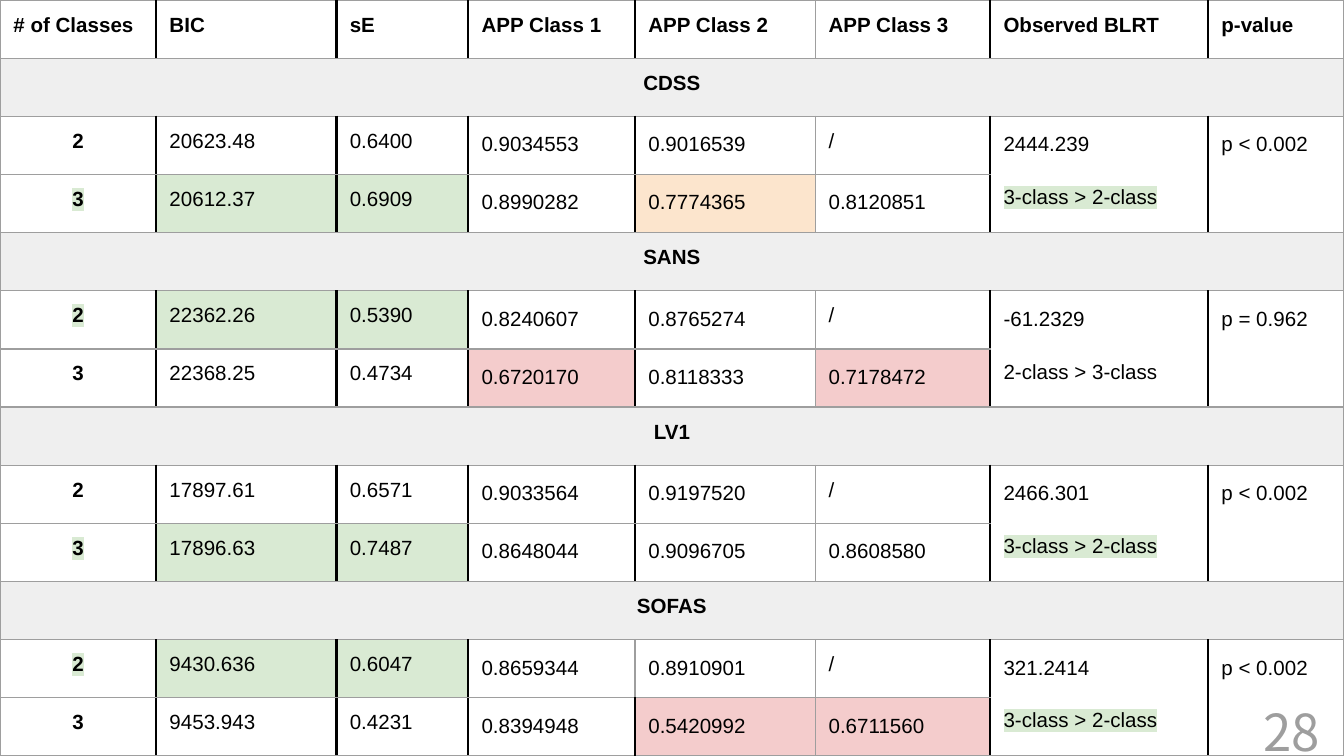
from dataclasses import dataclass

from lxml.etree import SubElement
from pptx import Presentation
from pptx.dml.color import RGBColor
from pptx.enum.text import PP_ALIGN
from pptx.oxml.ns import qn
from pptx.util import Inches, Pt


@dataclass(frozen=True)
class Theme:
    ink: str = "000000"
    rule: str = "9E9E9E"
    band: str = "EFEFEF"
    good: str = "D9EAD3"
    fair: str = "FCE5CD"
    poor: str = "F4CCCC"
    font: str = "Arial"
    serial: str = "Noto Sans CJK KR"
    body: float = 11
    page: float = 27.3
    thin: float = 0.75
    thick: float = 1.5


THEME = Theme()
WIDE = 10
HIGH = WIDE * 9 / 16
WIDTHS = [1.16, 1.34, 0.98, 1.24, 1.34, 1.3, 1.62, 1.01]
HEADS = ["# of Classes", "BIC", "sE", "APP Class 1", "APP Class 2",
         "APP Class 3", "Observed BLRT", "p-value"]
DARK = {1, 2, 3, 4, 6, 7}
GROUPS = [
    ("CDSS", "3", "2444.239", "3-class > 2-class", "p < 0.002", [
        ["2", "20623.48", "0.6400", "0.9034553", "0.9016539", "/"],
        ["3", "20612.37", "0.6909", "0.8990282", "0.7774365", "0.8120851"]]),
    ("SANS", "2", "-61.2329", "2-class > 3-class", "p = 0.962", [
        ["2", "22362.26", "0.5390", "0.8240607", "0.8765274", "/"],
        ["3", "22368.25", "0.4734", "0.6720170", "0.8118333", "0.7178472"]]),
    ("LV1", "3", "2466.301", "3-class > 2-class", "p < 0.002", [
        ["2", "17897.61", "0.6571", "0.9033564", "0.9197520", "/"],
        ["3", "17896.63", "0.7487", "0.8648044", "0.9096705", "0.8608580"]]),
    ("SOFAS", "2", "321.2414", "3-class > 2-class", "p < 0.002", [
        ["2", "9430.636", "0.6047", "0.8659344", "0.8910901", "/"],
        ["3", "9453.943", "0.4231", "0.8394948", "0.5420992", "0.6711560"]]),
]


def write(frame, text, size=THEME.body, font=THEME.font, color=THEME.ink,
          bold=False, align=PP_ALIGN.LEFT, lead=1.0, before=0, mark=None):
    para = frame.paragraphs[0]
    if para.runs:
        para = frame.add_paragraph()
    para.alignment = align
    para.line_spacing = lead
    para.space_before = Pt(before)
    run = para.add_run()
    run.text = text
    run.font.size = Pt(size)
    run.font.bold = bold
    run.font.color.rgb = RGBColor.from_string(color)
    if mark:
        light = SubElement(run.font._element, qn("a:highlight"))
        SubElement(light, qn("a:srgbClr"), val=mark)
    run.font.name = font


def pad(item, size=0.1):
    item.margin_left = item.margin_right = Inches(size)
    item.margin_top = item.margin_bottom = Inches(size)


def frame_cell(cell, left, right):
    props = cell._tc.get_or_add_tcPr()
    for side, dark in (("L", left), ("R", right), ("T", False), ("B", False)):
        width = THEME.thick if dark else THEME.thin
        line = SubElement(props, qn(f"a:ln{side}"), w=str(Pt(width)))
        fill = SubElement(line, qn("a:solidFill"))
        SubElement(fill, qn("a:srgbClr"), val=THEME.ink if dark else THEME.rule)


def paint(cell, color):
    if color:
        cell.fill.solid()
        cell.fill.fore_color.rgb = RGBColor.from_string(color)
    else:
        cell.fill.background()


def tint(col, text, best):
    if col in (1, 2):
        return THEME.good if best else None
    if col < 3 or text == "/":
        return None
    value = float(text)
    return THEME.poor if value < 0.75 else THEME.fair if value < 0.8 else None


def fill_group(table, top, group):
    name, best, score, order, chance, rows = group
    band = table.cell(top, 0)
    band.merge(table.cell(top, len(HEADS) - 1))
    write(band.text_frame, name, bold=True, align=PP_ALIGN.CENTER)
    paint(band, THEME.band)
    for row, values in enumerate(rows, top + 1):
        won = values[0] == best
        for col, text in enumerate(values):
            cell = table.cell(row, col)
            first = col == 0
            write(cell.text_frame, text, bold=first,
                  align=PP_ALIGN.CENTER if first else PP_ALIGN.LEFT,
                  lead=1.15 if col > 2 and text != "/" else 1.0,
                  mark=THEME.good if first and won else None)
            paint(cell, tint(col, text, won))
    for col in (6, 7):
        table.cell(top + 1, col).merge(table.cell(top + 2, col))
    result = table.cell(top + 1, 6).text_frame
    write(result, score, lead=1.15)
    write(result, order, lead=1.15, before=14.3,
          mark=THEME.good if order.startswith("3") else None)
    write(table.cell(top + 1, 7).text_frame, chance, lead=1.15)


def add_grid(slide, left, top, width, height):
    count = 1 + 3 * len(GROUPS)
    table = slide.shapes.add_table(count, len(HEADS), Inches(left), Inches(top),
                                   Inches(width), Inches(height)).table
    table.first_row = table.horz_banding = False
    for column, share in zip(table.columns, WIDTHS):
        column.width = Inches(width * share / sum(WIDTHS))
    for index, row in enumerate(table.rows):
        row.height = Inches(height / count)
        band = index % 3 == 1
        for col, cell in enumerate(row.cells):
            edges = DARK - {4} if index == count - 2 else DARK
            frame_cell(cell, not band and col in edges,
                       not band and col + 1 in edges)
            pad(cell)
            paint(cell, None)
    for col, head in enumerate(HEADS):
        write(table.cell(0, col).text_frame, head, bold=True)
    for index, group in enumerate(GROUPS):
        fill_group(table, 1 + 3 * index, group)


def add_page(slide, left, top, width, height):
    box = slide.shapes.add_textbox(Inches(left), Inches(top),
                                   Inches(width), Inches(height))
    frame = box.text_frame
    frame.word_wrap = True
    pad(frame)
    write(frame, "28", size=THEME.page, font=THEME.serial, color=THEME.rule)


def main():
    deck = Presentation()
    deck.slide_width, deck.slide_height = Inches(WIDE), Inches(HIGH)
    slide = deck.slides.add_slide(deck.slide_layouts[6])
    add_grid(slide, 0, 0, WIDE, HIGH)
    add_page(slide, 9.3, 5.11, 0.7, 0.37)
    deck.save("out.pptx")


if __name__ == "__main__":
    main()
